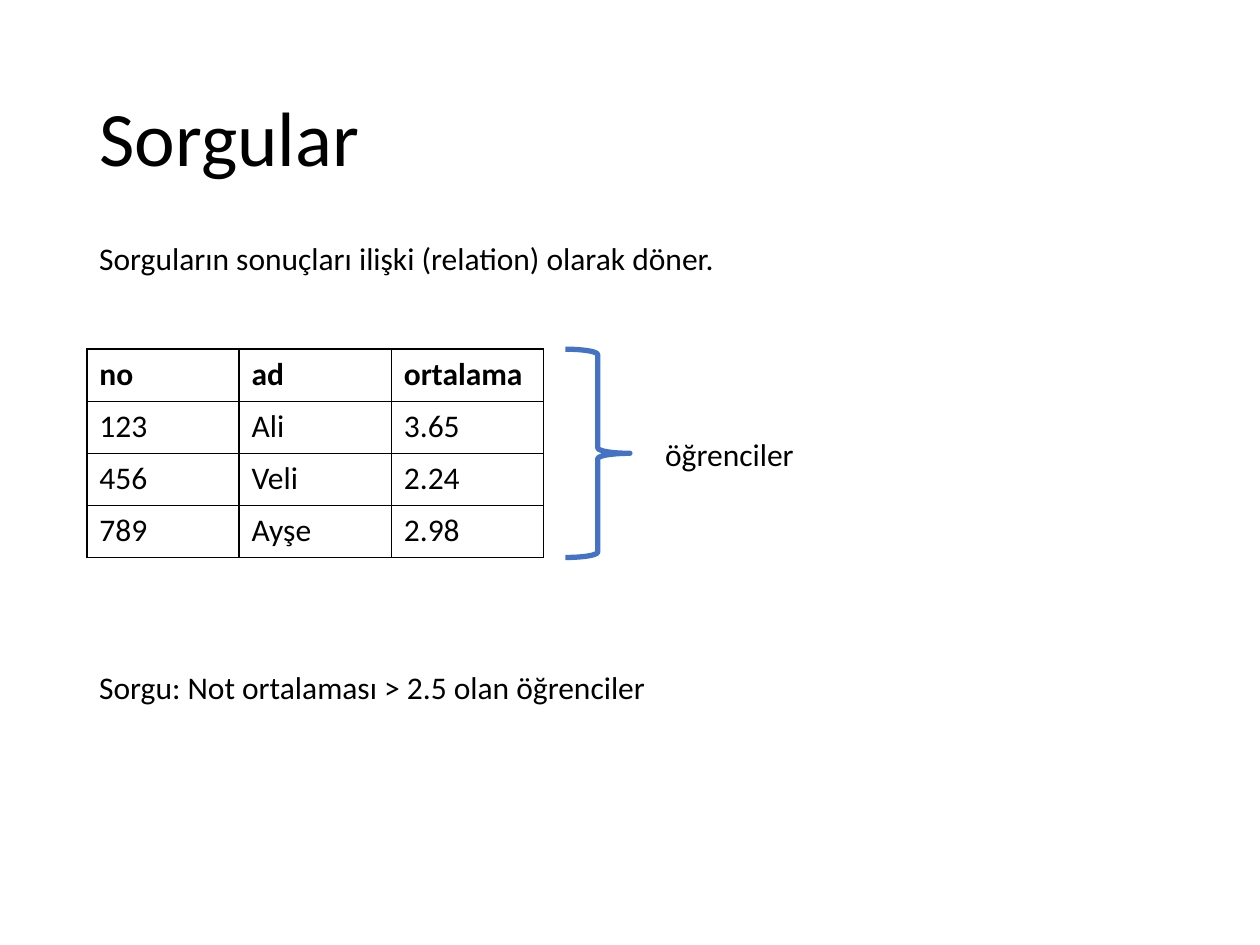
from lxml.etree import SubElement
from pptx import Presentation
from pptx.dml.color import RGBColor
from pptx.enum.shapes import MSO_SHAPE
from pptx.enum.text import MSO_ANCHOR, PP_ALIGN
from pptx.oxml.ns import qn
from pptx.util import Cm, Pt

COLOURS = {"text": "000000", "border": "000000", "brace": "4472C4", "background": "FFFFFF"}
LEFT = 1.75
TABLE_TOP, COLUMN_WIDTH, ROW_HEIGHT = 7.04, 3.07, 1.05
STUDENTS = [
    ("no", "ad", "ortalama"),
    ("123", "Ali", "3.65"),
    ("456", "Veli", "2.24"),
    ("789", "Ayşe", "2.98"),
]


class SlideBuilder:
    """Holds the style and the current slide, and adds elements to it."""

    font = "Calibri"
    body_size = 18
    title_size = 44

    def __init__(self, presentation):
        self.slide = presentation.slides.add_slide(presentation.slide_layouts[5])
        fill = self.slide.background.fill
        fill.solid()
        fill.fore_color.rgb = self.colour("background")

    def colour(self, role):
        return RGBColor.from_string(COLOURS[role])

    def set_text(self, frame, text, size=body_size, bold=False):
        frame.text = text
        paragraph = frame.paragraphs[0]
        paragraph.alignment = PP_ALIGN.LEFT
        for run in paragraph.runs:
            run.font.name = self.font
            run.font.size = Pt(size)
            run.font.bold = bold
            run.font.color.rgb = self.colour("text")

    def title(self, text, left, top, width, height):
        heading = self.slide.shapes.title
        heading.left, heading.top = Cm(left), Cm(top)
        heading.width, heading.height = Cm(width), Cm(height)
        self.set_text(heading.text_frame, text, self.title_size)
        heading.text_frame.vertical_anchor = MSO_ANCHOR.MIDDLE
        heading.text_frame.paragraphs[0].line_spacing = 0.9

    def text(self, text, left, top, width, height=1.02, wrap=False):
        frame = self.slide.shapes.add_textbox(Cm(left), Cm(top), Cm(width), Cm(height)).text_frame
        frame.word_wrap = wrap
        self.set_text(frame, text)

    def border(self, cell):
        properties = cell._tc.get_or_add_tcPr()
        for position, side in enumerate(("lnL", "lnR", "lnT", "lnB")):
            line = SubElement(properties, qn(f"a:{side}"), w=str(Pt(1)))
            fill = SubElement(line, qn("a:solidFill"))
            SubElement(fill, qn("a:srgbClr"), val=COLOURS["border"])
            properties.insert(position, line)

    def table(self, rows, left, top, column_width, row_height):
        row_count, column_count = len(rows), len(rows[0])
        grid = self.slide.shapes.add_table(
            row_count, column_count, Cm(left), Cm(top),
            Cm(column_width * column_count), Cm(row_height * row_count),
        ).table
        for row_index, values in enumerate(rows):
            for column_index, value in enumerate(values):
                cell = grid.cell(row_index, column_index)
                cell.fill.background()
                self.set_text(cell.text_frame, value, bold=row_index == 0)
                self.border(cell)

    def right_brace(self, left, top, width, height):
        brace = self.slide.shapes.add_shape(
            MSO_SHAPE.RIGHT_BRACE, Cm(left), Cm(top), Cm(width), Cm(height)
        )
        brace.shadow.inherit = False
        brace.fill.background()
        brace.line.color.rgb = self.colour("brace")
        brace.line.width = Pt(3)


def main():
    presentation = Presentation()
    presentation.slide_width, presentation.slide_height = Cm(25.4), Cm(19.05)
    queries = SlideBuilder(presentation)
    queries.title("Sorgular", LEFT, 1.02, 21.9, 3.68)
    queries.text("Sorguların sonuçları ilişki (relation) olarak döner.", LEFT, 4.7, 22.17, wrap=True)
    queries.table(STUDENTS, LEFT, TABLE_TOP, COLUMN_WIDTH, ROW_HEIGHT)
    queries.text("Sorgu: Not ortalaması > 2.5 olan öğrenciler", LEFT, 13.34, 11.79)
    queries.right_brace(11.4, TABLE_TOP, 1.3, ROW_HEIGHT * len(STUDENTS))
    queries.text("öğrenciler", 13.16, 8.64, 3.12)
    presentation.save("out.pptx")


if __name__ == "__main__":
    main()
